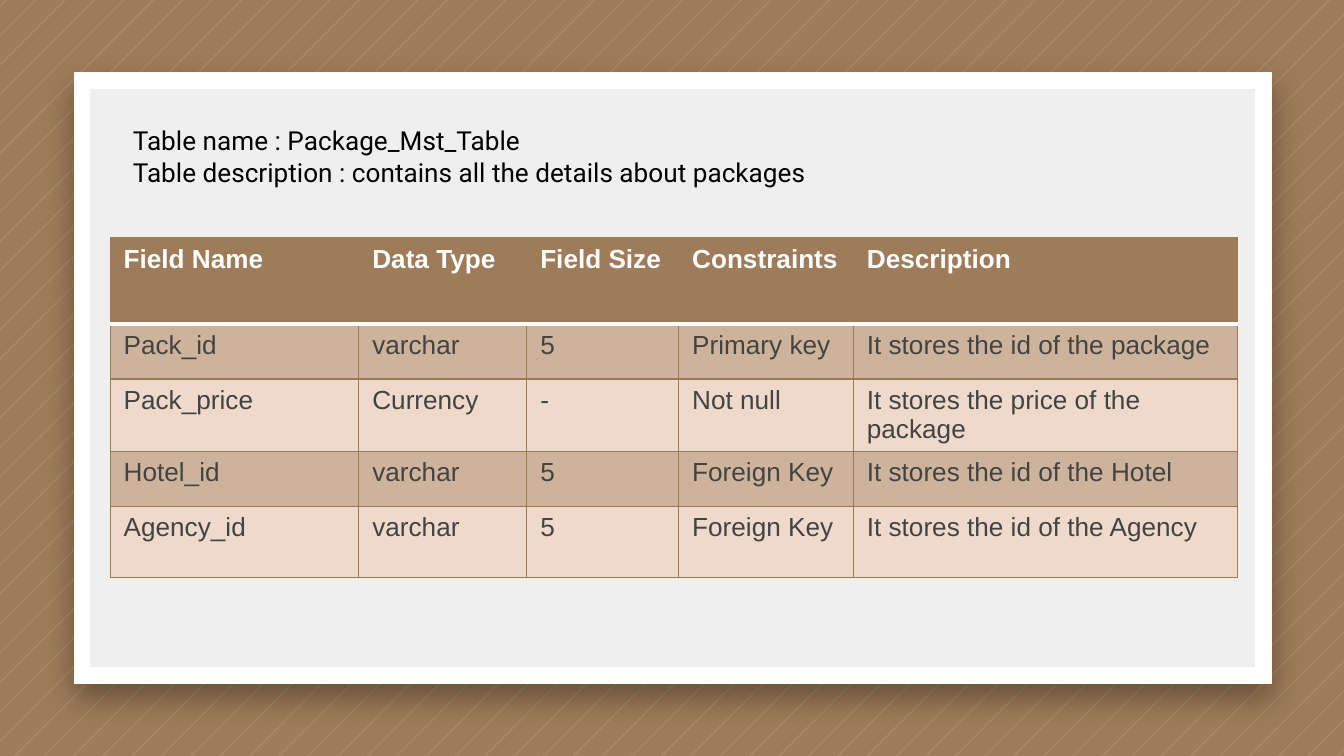
from pptx import Presentation
from pptx.dml.color import RGBColor
from pptx.enum.shapes import MSO_SHAPE as Shape
from pptx.oxml.ns import qn
from pptx.util import Inches, Pt
from lxml.etree import SubElement

CAPTION = [
    "Table name : Package_Mst_Table",
    "Table description : contains all the details about packages",
]
FIELDS = [
    ("Field Name", "Data Type", "Field Size", "Constraints", "Description"),
    ("Pack_id", "varchar", "5", "Primary key", "It stores the id of the package"),
    ("Pack_price", "Currency", "-", "Not null", "It stores the price of the package"),
    ("Hotel_id", "varchar", "5", "Foreign Key", "It stores the id of the Hotel"),
    ("Agency_id", "varchar", "5", "Foreign Key", "It stores the id of the Agency"),
]
COLUMN_WIDTHS = [1.85, 1.25, 1.13, 1.3, 2.86]
ROW_HEIGHTS = [0.64, 0.41, 0.53, 0.41, 0.53]

BROWN = RGBColor(0x9E, 0x7C, 0x59)
BORDER = RGBColor(0x9C, 0x79, 0x55)
BAND_DARK = RGBColor(0xCD, 0xB3, 0x9C)
BAND_LIGHT = RGBColor(0xEE, 0xD9, 0xCB)
PANEL = RGBColor(0xEF, 0xEF, 0xEF)
WHITE = RGBColor(0xFF, 0xFF, 0xFF)
BLACK = RGBColor(0, 0, 0)
GRAY = RGBColor(0x43, 0x43, 0x43)

WIDTH = Inches(10)
HEIGHT = WIDTH * 9 // 16
STRIPE_COUNT = 72
STRIPE_START, STRIPE_GAP, STRIPE_WIDTH = Inches(0.04), Inches(7 / 32), Pt(1)


def set_font(para, **values):
    color = values.pop("color")
    for name, value in values.items():
        setattr(para.font, name, value)
    para.font.color.rgb = color


def diagonal(reach):
    upper = min(reach, WIDTH), max(0, reach - WIDTH)
    lower = max(0, reach - HEIGHT), min(reach, HEIGHT)
    return upper, lower


def add_stripes(page):
    builder = None
    for index in range(STRIPE_COUNT):
        reach = STRIPE_START + index * STRIPE_GAP
        upper, lower = diagonal(reach)
        next_upper, next_lower = diagonal(reach + STRIPE_WIDTH)
        if builder is None:
            builder = page.shapes.build_freeform(*upper)
        else:
            builder.move_to(*upper)
        builder.add_line_segments([lower, next_lower, next_upper], close=True)
    stripes = builder.convert_to_shape()
    stripes.shadow.inherit = False
    stripes.line.fill.background()
    stripes.fill.solid()
    stripes.fill.fore_color.rgb = WHITE
    color = next(stripes.element.spPr.iter(qn("a:srgbClr")))
    SubElement(color, qn("a:alpha"), val="10000")


def add_panel(page):
    panel = page.shapes.add_shape(
        Shape.RECTANGLE, Inches(0.61), Inches(0.6), Inches(8.79), Inches(4.43))
    panel.fill.solid()
    panel.fill.fore_color.rgb = PANEL
    panel.line.color.rgb = WHITE
    panel.line.width = Pt(9)
    SubElement(panel.element.spPr.find(qn("a:ln")), qn("a:miter"), lim="800000")
    panel.shadow.inherit = False
    effects = panel.element.spPr.find(qn("a:effectLst"))
    shadow = SubElement(effects, qn("a:outerShdw"), blurRad=str(Pt(16.9)),
                        dist=str(Pt(7.5)), dir="5400000", algn="t", rotWithShape="0")
    color = SubElement(shadow, qn("a:srgbClr"), val=str(BLACK))
    SubElement(color, qn("a:alpha"), val="35000")


def set_border(cell, side, color, points):
    properties = cell._tc.get_or_add_tcPr()
    line = SubElement(properties, qn("a:ln" + side), w=str(Pt(points)))
    fill = SubElement(line, qn("a:solidFill"))
    SubElement(fill, qn("a:srgbClr"), val=str(color))


def add_field_table(page):
    table = page.shapes.add_table(
        len(FIELDS), len(COLUMN_WIDTHS), Inches(0.82), Inches(1.77),
        Inches(sum(COLUMN_WIDTHS)), Inches(sum(ROW_HEIGHTS))).table
    for column, width in zip(table.columns, COLUMN_WIDTHS):
        column.width = Inches(width)
    for row, height in zip(table.rows, ROW_HEIGHTS):
        row.height = Inches(height)
    for row_index, values in enumerate(FIELDS):
        header = row_index == 0
        band = BROWN if header else BAND_DARK if row_index % 2 else BAND_LIGHT
        white_side = {0: "B", 1: "T"}.get(row_index)
        for column_index, value in enumerate(values):
            cell = table.cell(row_index, column_index)
            cell.text = value
            set_font(cell.text_frame.paragraphs[0], name="Arial", size=Pt(14),
                     bold=header, color=WHITE if header else GRAY)
            for side in "LRTB":
                style = (WHITE, 2) if side == white_side else (BORDER, 0.75)
                set_border(cell, side, *style)
            cell.fill.solid()
            cell.fill.fore_color.rgb = band


def add_caption(page):
    box = page.shapes.add_textbox(Inches(0.89), Inches(0.88), Inches(8.13), Inches(0.57))
    frame = box.text_frame
    frame.word_wrap = True
    frame.text = "\n".join(CAPTION)
    for para in frame.paragraphs:
        set_font(para, name="Roboto", size=Pt(14), color=BLACK)


def main():
    deck = Presentation()
    deck.slide_width, deck.slide_height = WIDTH, HEIGHT
    page = deck.slides.add_slide(deck.slide_layouts[6])
    page.background.fill.solid()
    page.background.fill.fore_color.rgb = BROWN
    add_stripes(page)
    add_panel(page)
    add_field_table(page)
    add_caption(page)
    deck.save("out.pptx")


if __name__ == "__main__":
    main()
